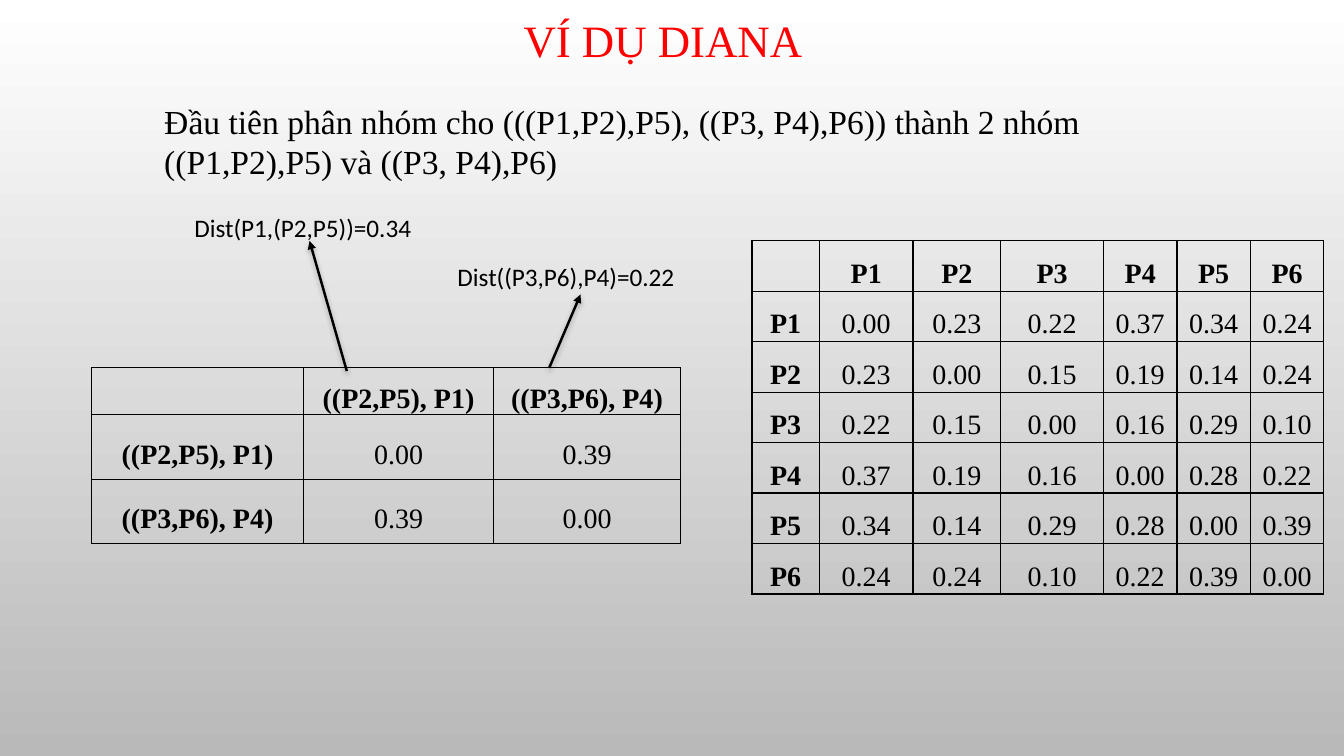
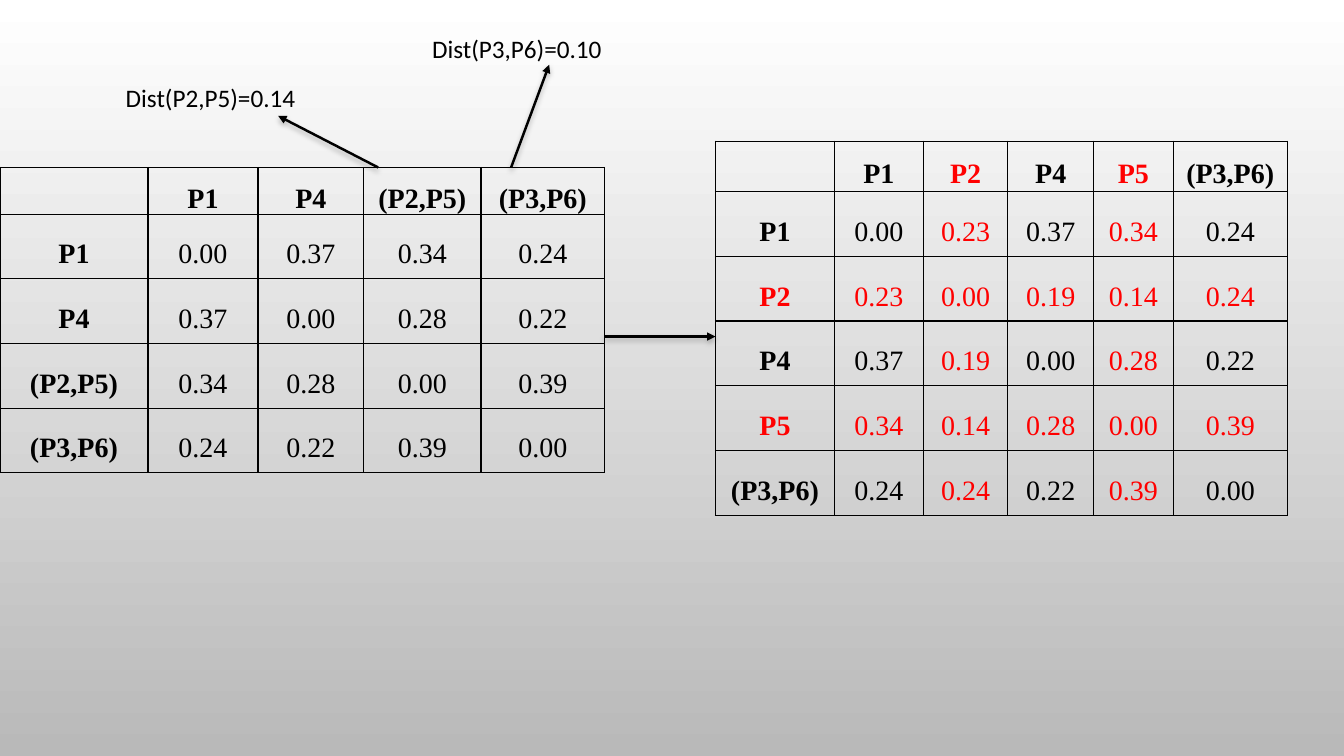
from lxml.etree import SubElement as Sub
from pptx import Presentation
from pptx.dml.color import RGBColor as RGB
from pptx.enum.shapes import MSO_CONNECTOR as LINK
from pptx.enum.text import MSO_ANCHOR as ANCHOR, PP_ALIGN as ALIGN
from pptx.oxml.ns import qn
from pptx.util import Cm, Pt

SERIF, SANS = "Times New Roman", "Calibri"
BLACK, RED, WHITE, GREY = "000000", "FF0000", "FFFFFF", "B9B9B9"
POINTS = ["P1", "P2", "P3", "P4", "P5", "P6"]
DIST = [
    [0.00, 0.23, 0.22, 0.37, 0.34, 0.24],
    [0.23, 0.00, 0.15, 0.19, 0.14, 0.24],
    [0.22, 0.15, 0.00, 0.16, 0.29, 0.10],
    [0.37, 0.19, 0.16, 0.00, 0.28, 0.22],
    [0.34, 0.14, 0.29, 0.28, 0.00, 0.39],
    [0.24, 0.24, 0.10, 0.22, 0.39, 0.00],
]


def paint(target, tone):
    """Give a font, line or gradient stop a hex colour."""
    target.color.rgb = RGB.from_string(tone)


def style(para, size, face, tone=BLACK, bold=False):
    """Set the font of a paragraph."""
    font = para.font
    font.size, font.name, font.bold = Pt(size), face, bold
    paint(font, tone)


def page(deck):
    """Add a blank slide with the grey gradient."""
    slide = deck.slides.add_slide(deck.slide_layouts[6])
    fill = slide.background.fill
    fill.gradient()
    fill.gradient_angle = 270
    for stop, tone in zip(fill.gradient_stops, (WHITE, GREY)):
        paint(stop, tone)
        stop.position = 0 if tone == WHITE else 1
    return slide


def label(slide, box, text, size=18, face=SANS, tone=BLACK, align=ALIGN.LEFT):
    """Place one paragraph of text in a box."""
    frame = slide.shapes.add_textbox(*map(Cm, box)).text_frame
    frame.word_wrap = True
    para = frame.paragraphs[0]
    para.text, para.alignment = text, align
    style(para, size, face, tone)


def arrow(slide, *ends):
    """Draw a shadowed arrow from x, y to x, y."""
    link = slide.shapes.add_connector(LINK.STRAIGHT, *map(Cm, ends))
    link.line.width = Pt(1.75)
    paint(link.line, BLACK)
    Sub(link.line._get_or_add_ln(), qn("a:tailEnd"), type="triangle")
    effect = Sub(link._element.spPr, qn("a:effectLst"))
    shade = Sub(effect, qn("a:outerShdw"), blurRad=str(Pt(4)), dist=str(Pt(2)),
                dir="5400000", rotWithShape="0")
    tone = Sub(shade, qn("a:srgbClr"), val=BLACK)
    Sub(tone, qn("a:alpha"), val="28000")


def gap(one, two):
    """Give the complete-link distance of two named groups."""
    if one == two:
        return 0
    left, right = ([i for i, p in enumerate(POINTS) if p in name]
                   for name in (one, two))
    return max(DIST[i][j] for i in left for j in right)


def border(cell):
    """Frame a cell with thin black lines and no fill."""
    props = cell._tc.get_or_add_tcPr()
    for side in ("lnL", "lnR", "lnT", "lnB"):
        line = Sub(props, qn("a:" + side), w=str(Pt(1)))
        solid = Sub(line, qn("a:solidFill"))
        Sub(solid, qn("a:srgbClr"), val=BLACK)
    cell.fill.background()


def matrix(slide, x, y, names, widths, head, high, marked=()):
    """Build the distance table of the named groups at x, y."""
    count = len(names) + 1
    box = x, y, sum(widths), head + high * len(names)
    table = slide.shapes.add_table(count, count, *map(Cm, box)).table
    table.first_row = table.horz_banding = False
    for col, wide in zip(table.columns, widths):
        col.width = Cm(wide)
    heads = ["", *names]
    for r, row in enumerate(heads):
        table.rows[r].height = Cm(high if r else head)
        for c, col in enumerate(heads):
            cell = table.cell(r, c)
            border(cell)
            cell.margin_left = cell.margin_right = Cm(0.18)
            cell.margin_top = cell.margin_bottom = 0
            cell.vertical_anchor = ANCHOR.MIDDLE
            para = cell.text_frame.paragraphs[0]
            inner = row and col
            para.text = f"{gap(row, col):.2f}" if inner else row or col
            para.alignment = ALIGN.CENTER
            if para.text:
                para.line_spacing = 1.5
            tone = RED if row in marked or col in marked else BLACK
            style(para, 20, SERIF, tone, not inner)


def split(deck):
    """Build the slide of the first split."""
    slide = page(deck)
    matrix(slide, 2.31, 9.27, ["((P2,P5), P1)", "((P3,P6), P4)"],
           [5.34, 4.79, 4.71], 1.17, 1.63)
    label(slide, (3.45, 0.2, 26.52, 1.63), "VÍ DỤ DIANA", 32, SERIF, RED,
          ALIGN.CENTER)
    label(slide, (3.89, 2.41, 26.52, 4.37),
          "Đầu tiên phân nhóm cho (((P1,P2),P5), ((P3, P4),P6)) thành 2 nhóm "
          "((P1,P2),P5) và ((P3, P4),P6)", 24, SERIF)
    arrow(slide, 13.84, 9.27, 14.63, 7.42)
    arrow(slide, 8.74, 9.35, 7.8, 6.07)
    label(slide, (4.65, 5.23, 8.2, 1.02), "Dist(P1,(P2,P5))=0.34")
    matrix(slide, 18.95, 6.07, POINTS,
           [1.7, 2.36, 2.21, 2.59, 1.85, 1.85, 1.85], 1.27, 1.27)
    label(slide, (11.28, 6.45, 7.26, 1.02), "Dist((P3,P6),P4)=0.22")


def expand(deck):
    """Build the slide that breaks the groups into points."""
    slide = page(deck)
    matrix(slide, 0, 4.22, ["P1", "P4", "(P2,P5)", "(P3,P6)"],
           [3.73, 2.77, 2.67, 2.95, 3.12], 1.17, 1.63)
    arrow(slide, 15.24, 8.48, 18.03, 8.48)
    arrow(slide, 12.88, 4.22, 13.84, 1.63)
    arrow(slide, 9.53, 4.22, 7.01, 2.92)
    label(slide, (2.92, 1.96, 6.38, 1.02), "Dist(P2,P5)=0.14")
    label(slide, (10.64, 0.71, 6.27, 1.02), "Dist(P3,P6)=0.10")
    matrix(slide, 18.03, 3.56, ["P1", "P2", "P4", "P5", "(P3,P6)"],
           [3, 2.24, 2.13, 2.16, 2.01, 2.87], 1.27, 1.63, ("P2", "P5"))


def main():
    """Build the deck and save it."""
    deck = Presentation()
    deck.slide_width, deck.slide_height = Cm(33.87), Cm(19.05)
    split(deck)
    expand(deck)
    deck.save("out.pptx")


if __name__ == "__main__":
    main()
